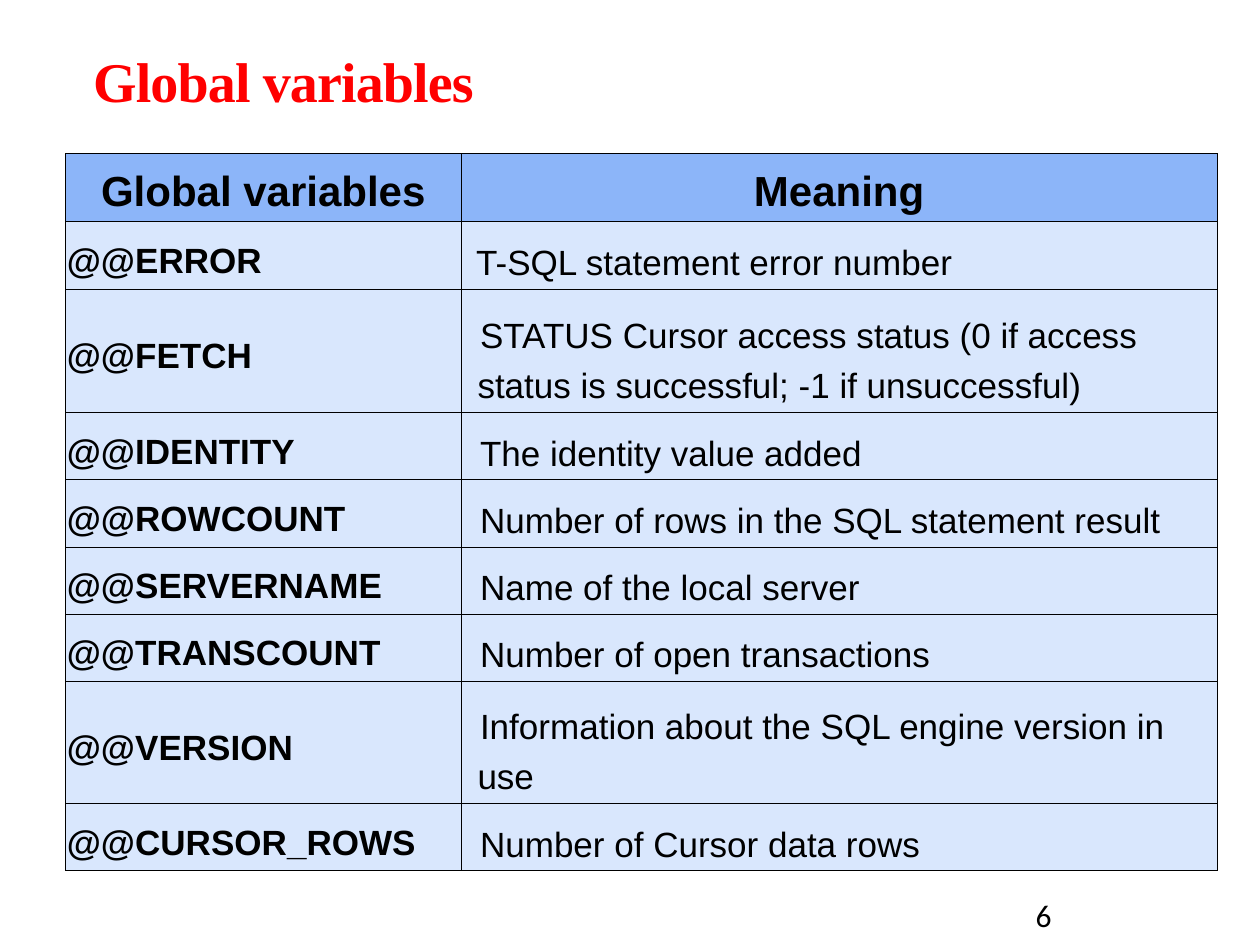
from dataclasses import dataclass

from lxml import etree
from pptx import Presentation
from pptx.dml.color import RGBColor
from pptx.enum.text import MSO_ANCHOR, PP_ALIGN
from pptx.oxml.ns import qn
from pptx.util import Inches, Pt

BOTTOM, MIDDLE = MSO_ANCHOR.BOTTOM, MSO_ANCHOR.MIDDLE
LEFT, CENTER = PP_ALIGN.LEFT, PP_ALIGN.CENTER
BLACK, RED = "000000", "FF0000"
HEADER_FILL, BODY_FILL = "8CB5F9", "D9E7FD"


@dataclass
class Variable:
    name: str
    meaning: str
    height: float
    margin: float = 0.12
    indent: float = 0.02


@dataclass
class TextStyle:
    size: float
    font: str = "Arial"
    color: str = BLACK
    bold: bool = False
    spacing: float = 0


@dataclass
class Layout:
    anchor: MSO_ANCHOR
    align: PP_ALIGN = LEFT
    line_spacing: float = 1.0
    margin: float = 0
    indent: float = 0


VARIABLES = [
    Variable("ERROR", "T-SQL statement error number", 0.44, 0.26, -0.15),
    Variable("FETCH", "STATUS Cursor access status (0 if access status is "
             "successful; -1 if unsuccessful)", 0.98),
    Variable("IDENTITY", "The identity value added", 0.43),
    Variable("ROWCOUNT", "Number of rows in the SQL statement result", 0.46),
    Variable("SERVERNAME", "Name of the local server", 0.43),
    Variable("TRANSCOUNT", "Number of open transactions", 0.43),
    Variable("VERSION", "Information about the SQL engine version in use", 0.47),
    Variable("CURSOR_ROWS", "Number of Cursor data rows", 0.49),
]


def rgb(value: str) -> RGBColor:
    return RGBColor.from_string(value)


def write(paragraph, text: str, style: TextStyle) -> None:
    run = paragraph.add_run()
    run.text = text
    run.font.size = Pt(style.size)
    run.font.name = style.font
    run.font.bold = style.bold
    run.font.color.rgb = rgb(style.color)
    if style.spacing:
        run.font._element.set("spc", str(round(style.spacing * 100)))


def add_text(slide, box: tuple, text: str, style: TextStyle,
             anchor: MSO_ANCHOR, bottom: float) -> None:
    frame = slide.shapes.add_textbox(*map(Inches, box)).text_frame
    frame.word_wrap = True
    frame.vertical_anchor = anchor
    frame.margin_bottom = Inches(bottom)
    write(frame.paragraphs[0], text, style)


def add_borders(cell) -> None:
    properties = cell._tc.get_or_add_tcPr()
    for position, side in enumerate(("a:lnL", "a:lnR", "a:lnT", "a:lnB")):
        line = etree.Element(qn(side), w=str(Pt(0.5)))
        fill = etree.SubElement(line, qn("a:solidFill"))
        etree.SubElement(fill, qn("a:srgbClr"), val=BLACK)
        properties.insert(position, line)


def fill_cell(cell, text: str, style: TextStyle, layout: Layout, fill: str) -> None:
    cell.fill.solid()
    cell.fill.fore_color.rgb = rgb(fill)
    cell.margin_left = cell.margin_right = Inches(0.01)
    cell.vertical_anchor = layout.anchor
    paragraph = cell.text_frame.paragraphs[0]
    paragraph.alignment = layout.align
    paragraph.line_spacing = layout.line_spacing
    properties = paragraph._p.get_or_add_pPr()
    properties.set("marL", str(Inches(layout.margin)))
    properties.set("indent", str(Inches(layout.indent)))
    write(paragraph, text, style)
    add_borders(cell)


def add_variable_table(slide) -> None:
    heights = [0.54] + [variable.height for variable in VARIABLES]
    table = slide.shapes.add_table(
        len(heights), 2, Inches(0.52), Inches(1.22),
        Inches(9.14), Inches(sum(heights))).table
    for column, width in zip(table.columns, (3.14, 6)):
        column.width = Inches(width)
    for row, height in zip(table.rows, heights):
        row.height = Inches(height)

    for index, heading in enumerate(("Global variables", "Meaning")):
        fill_cell(table.cell(0, index), heading, TextStyle(24, bold=True),
                  Layout(BOTTOM, CENTER), HEADER_FILL)
    for index, variable in enumerate(VARIABLES, start=1):
        fill_cell(table.cell(index, 0), "@@" + variable.name,
                  TextStyle(20, bold=True),
                  Layout(MIDDLE, line_spacing=1.3), BODY_FILL)
        fill_cell(table.cell(index, 1), variable.meaning, TextStyle(20),
                  Layout(BOTTOM, LEFT, 1.3, variable.margin, variable.indent),
                  BODY_FILL)


def main() -> None:
    deck = Presentation()
    deck.slide_width, deck.slide_height = Inches(10), Inches(7.5)
    slide = deck.slides.add_slide(deck.slide_layouts[6])
    add_text(slide, (0.64, 0.31, 8.68, 0.59), "Global variables",
             TextStyle(32, "Times New Roman", RED, True, -0.5), BOTTOM, 0)
    add_variable_table(slide)
    add_text(slide, (8.12, 7.06, 1.08, 0.4), "6",
             TextStyle(18, "Calibri"), MIDDLE, 0.05)
    deck.save("out.pptx")


if __name__ == "__main__":
    main()
